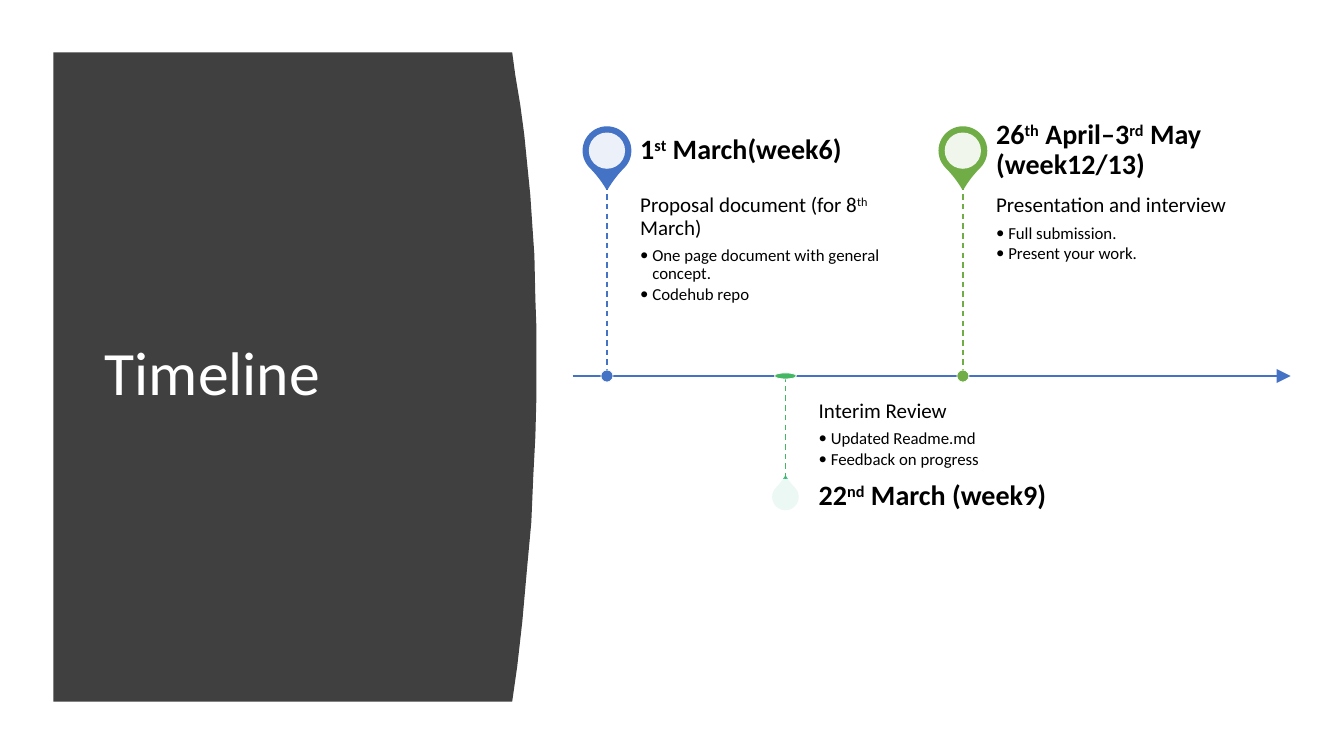
from lxml import etree
from pptx import Presentation, util as u
from pptx.dml.color import RGBColor
from pptx.enum import dml, shapes, text
from pptx.oxml.ns import qn

PX = 9144  # 100 px to the inch
SHAPE = shapes.MSO_SHAPE
ANCHOR = text.MSO_ANCHOR
AXIS_Y = 373
INDENT = 12

EDGE = [(508, 52), (511, 74), (516, 104), (520, 134), (523, 164), (526, 194),
        (528, 224), (530, 253), (531, 297), (532, 325), (532, 394), (531, 433),
        (529, 471), (527, 518), (523, 561), (518, 617), (513, 661), (508, 696)]

# Stem x, box top, box height, colours, ring and dot size, whether above the axis, words
STEPS = [
    dict(x=602, top=116, high=257, date_h=67, pin="4472C4", hue="4472C4",
         ring=47, dot=(12, 12), above=True, date="1^st^ March(week6)",
         head="Proposal document (for 8^th^ March)",
         items=["One page document with general concept.", "Codehub repo"]),
    dict(x=779, top=AXIS_Y, high=138, date_h=36, pin="43BB8D", hue="45B664",
         ring=25, dot=(22, 6), above=False, date="22^nd^ March (week9)",
         head="Interim Review",
         items=["Updated Readme.md", "Feedback on progress"]),
    dict(x=955, top=116, high=257, date_h=67, pin="70AD47", hue="70AD47",
         ring=47, dot=(12, 12), above=True,
         date="26^th^ April–3^rd^ May (week12/13)",
         head="Presentation and interview",
         items=["Full submission.", "Present your work."]),
]


def px(n):
    return u.Emu(round(n * PX))


def rgb(code):
    return RGBColor.from_string(code)


def paint(shape, fill, line=None, width=1):
    shape.shadow.inherit = False
    shape.fill.solid()
    shape.fill.fore_color.rgb = rgb(fill)
    if line:
        shape.line.color.rgb = rgb(line)
        shape.line.width = u.Pt(width)
    else:
        shape.line.fill.background()


def blob(slide, kind, x, y, w, h):
    """Place a preset shape around its centre."""
    return slide.shapes.add_shape(kind, px(x - w / 2), px(y - h / 2), px(w), px(h))


def rule(slide, x1, y1, x2, y2, hue, width):
    line = slide.shapes.add_connector(
        shapes.MSO_CONNECTOR.STRAIGHT, px(x1), px(y1), px(x2), px(y2))
    line.line.color.rgb = rgb(hue)
    line.line.width = u.Pt(width)
    etree.SubElement(line.element.spPr, qn("a:effectLst"))
    return line


def write(para, words, size, after, bold=False):
    """Fill a paragraph; parts between ^ marks are superscript."""
    para.line_spacing = 0.9
    para.space_after = u.Pt(size * after)
    for i, part in enumerate(words.split("^")):
        run = para.add_run()
        run.text = part
        run.font.name = "Calibri"
        run.font.size = u.Pt(size)
        run.font.bold = bold
        run.font.color.rgb = rgb("000000")
        if i % 2:
            run.font._element.set("baseline", "30000")


def bullet(para):
    props = para._p.get_or_add_pPr()
    props.set("marL", str(px(INDENT)))
    props.set("indent", str(-px(INDENT)))
    etree.SubElement(props, qn("a:buFont")).set("typeface", "Calibri")
    etree.SubElement(props, qn("a:buChar")).set("char", "•")


def frame(slide, x, y, w, h, anchor, pads):
    box = slide.shapes.add_textbox(px(x), px(y), px(w), px(h)).text_frame
    box.word_wrap = True
    box.vertical_anchor = anchor
    (box.margin_left, box.margin_top,
     box.margin_right, box.margin_bottom) = map(px, pads)
    return box


def panel(slide, x, y, w, h):
    """Draw the dark curved panel with the title on it."""
    form = slide.shapes.build_freeform(x, y, scale=PX)
    form.add_line_segments(EDGE + [(x, y + h)])
    back = form.convert_to_shape()
    paint(back, "404040")
    title = slide.shapes.title
    back.element.addnext(title.element)
    title.left, title.top = px(x + 41), px(y + 59)
    title.width, title.height = px(w - 105), px(h - 120)
    title.text_frame.text = "Timeline"
    title.text_frame.vertical_anchor = ANCHOR.MIDDLE
    para = title.text_frame.paragraphs[0]
    para.alignment = text.PP_ALIGN.LEFT
    para.line_spacing = 0.9
    font = para.runs[0].font
    font.name, font.size, font.color.rgb = "Calibri", u.Pt(44), rgb("FFFFFF")


def axis(slide, x, y, w):
    line = rule(slide, x, y, x + w, y, "4472C4", 1.5)
    tail = etree.SubElement(line.line._get_or_add_ln(), qn("a:tailEnd"))
    for key, val in (("type", "triangle"), ("w", "lg"), ("len", "lg")):
        tail.set(key, val)


def step(slide, x, top, high, date_h, pin, hue, ring, dot, above, date, head, items):
    """Draw one milestone: pin, notes, date, stem and dot."""
    body_h = high - date_h
    date_y, body_y = (top, top + date_h) if above else (top + body_h, top)
    pin_y = date_y + date_h / 2

    drop = blob(slide, SHAPE.TEAR, x, pin_y, ring, ring)
    drop.adjustments[0] = 1.15
    drop.rotation = 135 if above else 315
    paint(drop, pin, pin)
    disc = blob(slide, SHAPE.OVAL, x, pin_y, 36, 36)
    paint(disc, "FFFFFF")
    clr = disc.element.spPr.find(qn("a:solidFill"))[0]
    etree.SubElement(clr, qn("a:alpha")).set("val", "90000")

    anchor, pads = ((ANCHOR.TOP, (0, 10, 10, 16)) if above
                    else (ANCHOR.BOTTOM, (0, 16, 0, 10)))
    body = frame(slide, x + 33, body_y, 292, body_h, anchor, pads)
    write(body.paragraphs[0], head, 15, 0.35)
    for item in items:
        para = body.add_paragraph()
        para.level = 1
        write(para, item, 12, 0.15)
        bullet(para)
    day = frame(slide, x + 33, date_y, 292, date_h, ANCHOR.MIDDLE, (0, 0, 14, 0))
    write(day.paragraphs[0], date, 20, 0.35, True)

    stem = rule(slide, x, body_y, x, body_y + body_h, hue, 1)
    stem.line.dash_style = dml.MSO_LINE.DASH
    paint(blob(slide, SHAPE.OVAL, x, AXIS_Y, *dot), hue, "FFFFFF", 0.5)


def main():
    deck = Presentation()
    deck.slide_width, deck.slide_height = px(1333), px(750)
    slide = deck.slides.add_slide(deck.slide_layouts.get_by_name("Title Only"))
    panel(slide, 53, 52, 479, 644)
    axis(slide, 568, AXIS_Y, 712)
    for data in STEPS:
        step(slide, **data)
    deck.save("out.pptx")


if __name__ == "__main__":
    main()
